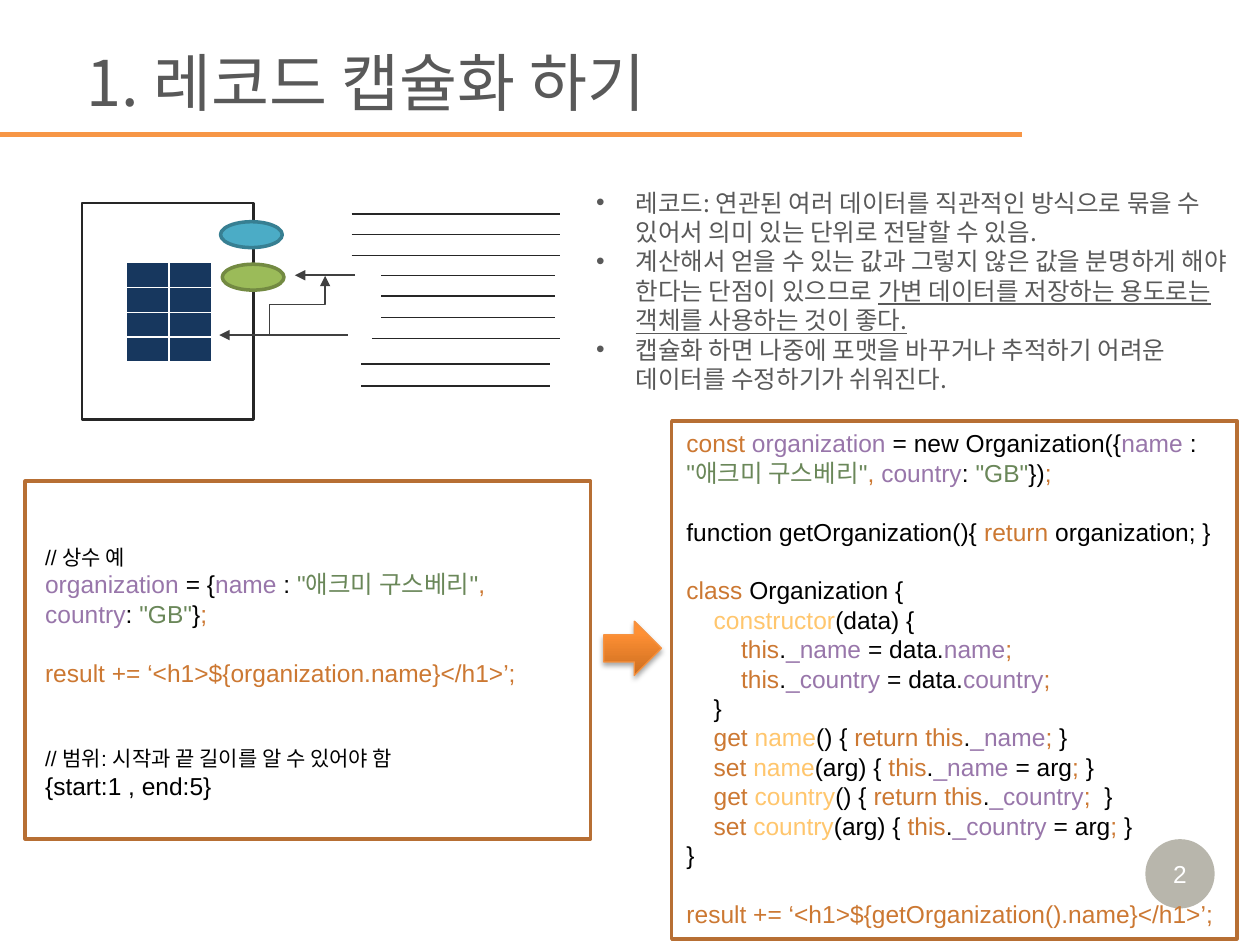
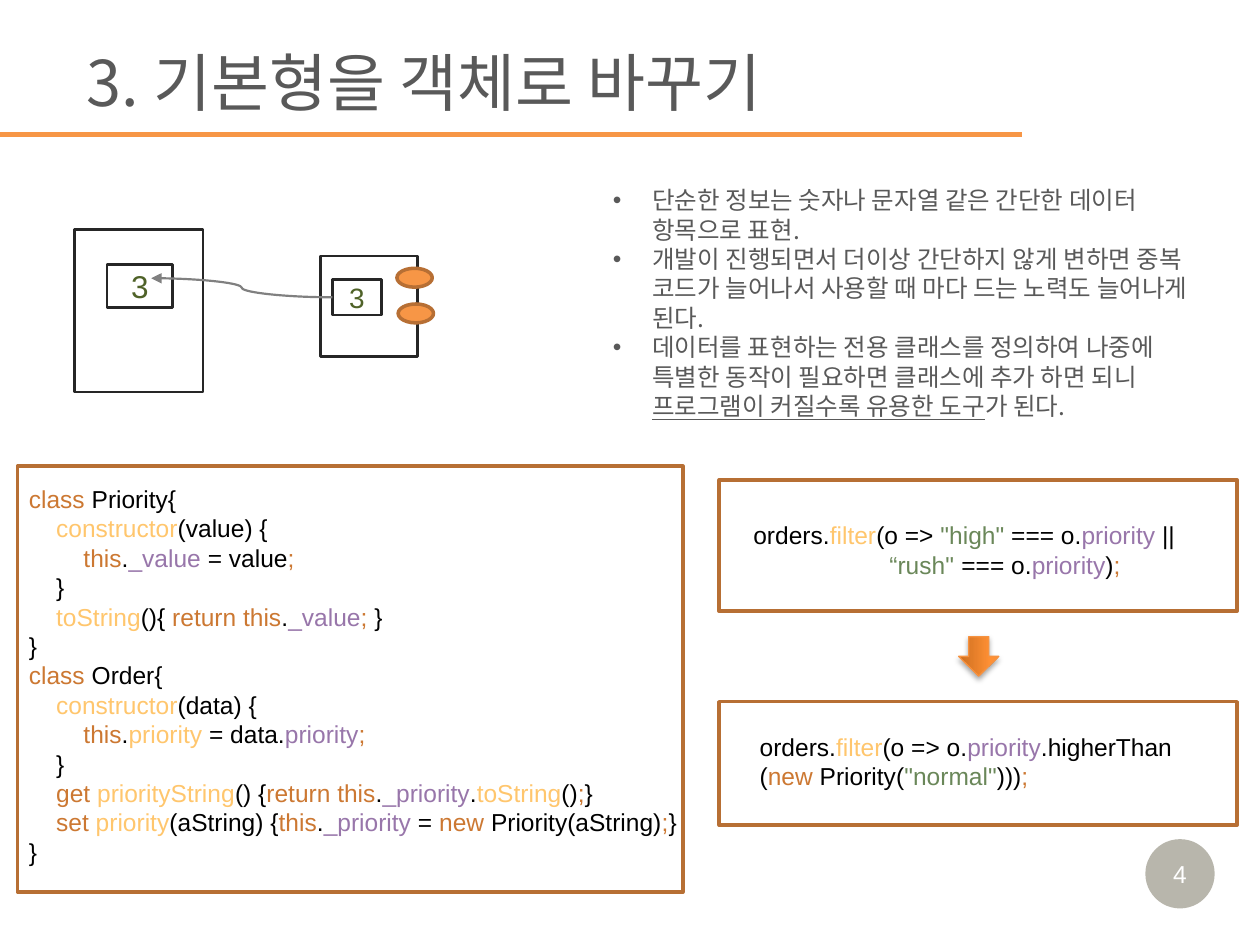
from lxml import etree
from pptx import Presentation
from pptx.dml.color import RGBColor
from pptx.enum.shapes import MSO_CONNECTOR, MSO_SHAPE
from pptx.enum.text import MSO_ANCHOR, MSO_AUTO_SIZE, PP_ALIGN
from pptx.oxml.ns import qn
from pptx.util import Pt

RECT, OVAL, ARROW = MSO_SHAPE.RECTANGLE, MSO_SHAPE.OVAL, MSO_SHAPE.RIGHT_ARROW
STRAIGHT, ELBOW, CURVE = MSO_CONNECTOR.STRAIGHT, MSO_CONNECTOR.ELBOW, MSO_CONNECTOR.CURVE
LEFT, CENTER = PP_ALIGN.LEFT, PP_ALIGN.CENTER
TOP, MIDDLE = MSO_ANCHOR.TOP, MSO_ANCHOR.MIDDLE
LATIN, KOREAN = "Arial", "Noto Sans CJK KR"
LEADING = 1.2
CODE_SIZE = 14

COLORS = {
    "text": "595959", "white": "FFFFFF", "ink": "262626", "arrow": "404040",
    "gray": "808080", "orange": "F79646", "frame": "B76F34", "badge": "4A452A",
    "navy": "17375E", "teal": "4BACC6", "teal line": "377F92", "green": "9BBB59",
    "green line": "738A42", "digit": "4F6228", "grad dark": "CC6E20",
    "grad light": "FF9034", "grad line": "F69240",
    "x": "000000", "k": "CC7832", "p": "9876AA", "s": "6A8759", "f": "FFC66D",
}

RECORD_BEFORE = [
    "‹x›// 상수 예",
    '‹p›organization ‹x›= {‹p›name ‹x›: ‹s›"애크미 구스베리"‹k›, ‹p›country‹x›: ‹s›"GB"‹x›}‹k›;',
    "",
    "‹k›result += ‘<h1>${organization.name}</h1>’;",
    "",
    "",
    "‹x›// 범위: 시작과 끝 길이를 알 수 있어야 함",
    "‹x›{start:1 , end:5}",
]
RECORD_AFTER = [
    '‹k›const‹p› organization ‹x›= new Organization({‹p›name ‹x›: ‹s›"애크미 구스베리"‹k›, '
    '‹p›country‹x›: ‹s›"GB"‹x›})‹k›;',
    "",
    "‹x›function getOrganization(){ ‹k›return‹x› organization; }",
    "",
    "‹k›class ‹x›Organization {",
    "‹x›    ‹f›constructor‹x›(data) {",
    "‹x›        ‹k›this‹x›.‹p›_name ‹x›= data.‹p›name‹k›;",
    "‹x›        ‹k›this‹x›.‹p›_country ‹x›= data.‹p›country‹k›;",
    "‹x›    }",
    "‹x›    ‹k›get ‹f›name‹x›() { ‹k›return this‹x›.‹p›_name‹k›; ‹x›}",
    "‹x›    ‹k›set ‹f›name‹x›(arg) { ‹k›this‹x›.‹p›_name ‹x›= arg‹k›; ‹x›}",
    "‹x›    ‹k›get ‹f›country‹x›() { ‹k›return this‹x›.‹p›_country‹k›;  ‹x›}",
    "‹x›    ‹k›set ‹f›country‹x›(arg) { ‹k›this‹x›.‹p›_country ‹x›= arg‹k›; ‹x›}",
    "‹x›}",
    "",
    "‹k›result += ‘<h1>${getOrganization().name}</h1>’;",
]
PRIORITY_CLASS = [
    "‹k›class ‹x›Priority{",
    "‹x›    ‹f›constructor‹x›(value) {",
    "‹x›        ‹k›this‹x›.‹p›_value ‹x›= value‹k›;",
    "‹x›    }",
    "‹x›    ‹f›toString‹x›(){ ‹k›return this‹x›.‹p›_value‹k›; ‹x›}",
    "‹x›}",
    "‹k›class ‹x›Order{",
    "‹x›    ‹f›constructor‹x›(data) {",
    "‹x›        ‹k›this‹x›.‹f›priority ‹x›= data.‹p›priority‹k›;",
    "‹x›    }",
    "‹x›    ‹k›get ‹f›priorityString‹x›() {‹k›return this‹x›.‹p›_priority‹x›.‹f›toString‹x›()‹k›;‹x›}",
    "‹x›    ‹k›set ‹f›priority‹x›(aString) {‹k›this‹x›.‹p›_priority ‹x›= ‹k›new ‹x›Priority(aString)‹k›;‹x›}",
    "‹x›}",
]
FILTER_BEFORE = [
    '‹x›orders.‹f›filter‹x›(o => ‹s›"high" ‹x›=== o.‹p›priority ‹x›||',
    '‹s›                    “rush" ‹x›=== o.‹p›priority‹x›)‹k›;',
]
FILTER_AFTER = [
    "‹x›orders.‹f›filter‹x›(o => o.‹p›priority‹x›.higherThan",
    '‹x›(‹k›new ‹x›Priority(‹s›"normal"‹x›)))‹k›;',
]


def rgb(name):
    return RGBColor.from_string(COLORS[name])


def add_run(p, text, size=CODE_SIZE, color="x", font=LATIN, underline=None):
    r = p.add_run()
    r.text = text
    r.font.size = Pt(size)
    r.font.name = font
    r.font.color.rgb = rgb(color)
    r.font.underline = underline
    etree.SubElement(r.font._element, qn("a:ea"), typeface=KOREAN)
    p.line_spacing = Pt(round(size * LEADING, 1))
    return r


class Deck:
    def __init__(self):
        self.prs = Presentation()
        self.prs.slide_width, self.prs.slide_height = Pt(720), Pt(540)
        self.s = None

    def slide(self, number, title, items, list_box):
        self.s = self.prs.slides.add_slide(self.prs.slide_layouts[0])
        heading, body = self.s.placeholders
        tf = self.place(heading, 42.5, 21, 677.5, 51)
        add_run(tf.paragraphs[0], title, 36, "text", KOREAN)
        self.bullets(self.place(body, *list_box), items)
        badge = self.shape(OVAL, 654.5, 479.5, 39.6, 39.6, fill="badge")
        color = badge.fill._xPr.find(qn("a:solidFill"))[0]
        etree.SubElement(color, qn("a:alpha"), val="39000")
        self.label(badge, number, CODE_SIZE, "white")
        self.line(0, 77, 584, 77, "orange", 3)

    def place(self, sp, x, y, w, h):
        sp.left, sp.top, sp.width, sp.height = Pt(x), Pt(y), Pt(w), Pt(h)
        tf = sp.text_frame
        tf.word_wrap = True
        tf.auto_size = MSO_AUTO_SIZE.NONE
        tf.vertical_anchor = MIDDLE
        tf.paragraphs[0].alignment = LEFT
        return tf

    def bullets(self, tf, items):
        for i, item in enumerate(items):
            p = tf.add_paragraph() if i else tf.paragraphs[0]
            pPr = p._p.get_or_add_pPr()
            pPr.set("marL", str(Pt(22.5)))
            pPr.set("indent", str(-Pt(22.5)))
            etree.SubElement(pPr, qn("a:buFont"), typeface=LATIN)
            etree.SubElement(pPr, qn("a:buChar"), char="•")
            p.alignment = LEFT
            p.space_before = Pt(0)
            for j, text in enumerate(item.split("_")):
                if text:
                    add_run(p, text, 14, "text", KOREAN, underline=j % 2 == 1)

    def shape(self, kind, x, y, w, h, fill=None, line=None, width=1.5):
        sp = self.s.shapes.add_shape(kind, Pt(x), Pt(y), Pt(w), Pt(h))
        sp.shadow.inherit = False
        if fill:
            sp.fill.solid()
            sp.fill.fore_color.rgb = rgb(fill)
        else:
            sp.fill.background()
        if line:
            sp.line.color.rgb = rgb(line)
            sp.line.width = Pt(width)
        else:
            sp.line.fill.background()
        return sp

    def label(self, sp, text, size, color):
        tf = sp.text_frame
        tf.margin_left = tf.margin_right = tf.margin_top = tf.margin_bottom = 0
        tf.vertical_anchor = MIDDLE
        tf.paragraphs[0].alignment = CENTER
        add_run(tf.paragraphs[0], text, size, color)

    def frame(self, x, y, w, h):
        self.shape(RECT, x, y, w, h, line="frame", width=2)

    def block_arrow(self, x, y, w, h, rotation=0):
        sp = self.shape(ARROW, x, y, w, h, line="grad line", width=0.75)
        sp.rotation = rotation
        sp.fill.gradient()
        sp.fill.gradient_angle = 90
        for stop, (name, position) in zip(sp.fill.gradient_stops,
                                          (("grad dark", 0), ("grad light", 0.8))):
            stop.color.rgb = rgb(name)
            stop.position = position
        effects = sp._element.spPr.find(qn("a:effectLst"))
        shadow = etree.SubElement(effects, qn("a:outerShdw"), blurRad=str(Pt(3.1)),
                                  dist=str(Pt(1.8)), dir="5400000", rotWithShape="0")
        color = etree.SubElement(shadow, qn("a:srgbClr"), val="000000")
        etree.SubElement(color, qn("a:alpha"), val="35000")

    def line(self, x1, y1, x2, y2, color="ink", width=1, kind=STRAIGHT, head=False, turn=0):
        c = self.s.shapes.add_connector(kind, Pt(x1), Pt(y1), Pt(x2), Pt(y2))
        c.line.color.rgb = rgb(color)
        c.line.width = Pt(width)
        spPr = c._element.spPr
        if head:
            etree.SubElement(spPr.find(qn("a:ln")), qn("a:tailEnd"), type="triangle")
        if turn:
            spPr.find(qn("a:xfrm")).set("rot", str(turn * 60000))
        etree.SubElement(spPr, qn("a:effectLst"))
        return c

    def table(self, x, y, w, h, rows, cols, fill):
        tbl = self.s.shapes.add_table(rows, cols, Pt(x), Pt(y), Pt(w), Pt(h)).table
        for cell in tbl.iter_cells():
            cell.margin_top = cell.margin_bottom = 0
            cell.fill.solid()
            cell.fill.fore_color.rgb = rgb(fill)
            etree.SubElement(cell.text_frame.paragraphs[0]._p, qn("a:endParaRPr"), sz="800")

    def code(self, lines, x, y, w, h):
        tf = self.s.shapes.add_textbox(Pt(x), Pt(y), Pt(w), Pt(h)).text_frame
        tf.word_wrap = True
        tf.vertical_anchor = TOP
        p, gap = None, 0
        for text in lines:
            if not text:
                gap += CODE_SIZE * LEADING
                continue
            p = tf.add_paragraph() if p else tf.paragraphs[0]
            p.space_before = Pt(round(gap, 1))
            gap = 0
            size = 12 if text.startswith("‹x›//") else CODE_SIZE
            for piece in text.split("‹")[1:]:
                color, words = piece.split("›")
                add_run(p, words, size, color)


def record_slide(d):
    d.slide("2", "1. 레코드 캡슐화 하기", [
        "레코드: 연관된 여러 데이터를 직관적인 방식으로 묶을 수 있어서 의미 있는 단위로 전달할 수 있음.",
        "계산해서 얻을 수 있는 값과 그렇지 않은 값을 분명하게 해야 한다는 단점이 있으므로 "
        "_가변 데이터를 저장하는 용도로는 객체를 사용하는 것이 좋다._",
        "캡슐화 하면 나중에 포맷을 바꾸거나 추적하기 어려운 데이터를 수정하기가 쉬워진다.",
    ], (333.5, 90, 378.5, 152))
    d.frame(14.4, 275, 323, 204.5)
    d.frame(383.8, 240.5, 323, 296)
    d.block_arrow(345, 355, 33, 31)
    for x1, x2, ys in ((201, 320, (122.5, 134, 146)), (218, 317, (157.5, 169, 181.5)),
                       (212.5, 320, (193.5,)), (206.5, 314.5, (208, 220.5))):
        for y in ys:
            d.line(x1, y, x2, y)
    d.shape(RECT, 46.8, 116, 98, 123.8, line="ink")
    d.table(72, 150, 49, 57, 4, 2, "navy")
    d.shape(OVAL, 126, 126.7, 35.3, 14.8, "teal", "teal line", 2)
    d.shape(OVAL, 127, 151, 35.3, 14.8, "green", "green line", 2)
    d.line(203, 157.3, 168.5, 157.3, "arrow", head=True)
    d.line(198.7, 191.5, 125.3, 191.5, "arrow", head=True)
    d.line(186.5, 190, 153.4, 158.4, "arrow", 0.75, ELBOW, head=True, turn=90)
    d.code(RECORD_BEFORE, 18.7, 307.5, 308, 155)
    d.code(RECORD_AFTER, 385.2, 241.2, 318, 296)


def priority_slide(d):
    d.slide("4", "3. 기본형을 객체로 바꾸기", [
        "단순한 정보는 숫자나 문자열 같은 간단한 데이터 항목으로 표현.",
        "개발이 진행되면서 더이상 간단하지 않게 변하면 중복 코드가 늘어나서 사용할 때 마다 드는 노력도 늘어나게 된다.",
        "데이터를 표현하는 전용 클래스를 정의하여 나중에 특별한 동작이 필요하면 클래스에 추가 하면 되니 "
        "_프로그램이 커질수록 유용한 도구_가 된다.",
    ], (343, 104.5, 364, 137))
    d.frame(411, 274.3, 296, 75)
    d.block_arrow(548, 363.6, 22.5, 23, rotation=90)
    d.frame(411, 401, 296, 70.5)
    d.code(FILTER_BEFORE, 423.4, 293.8, 287, 41)
    d.code(FILTER_AFTER, 427, 414.7, 265, 41)
    d.shape(RECT, 42.5, 131, 73.5, 93, line="ink")
    d.shape(RECT, 183, 146.2, 55.5, 57.6, line="ink")
    value = d.shape(RECT, 61.2, 151.2, 37.5, 24.5, line="ink")
    d.label(value, "3", 18, "digit")
    wrapped = d.shape(RECT, 190, 159.8, 28, 20.2, line="ink")
    d.label(wrapped, "3", 16, "digit")
    for x, y in ((226.8, 153.3), (227.5, 173.7)):
        d.shape(OVAL, x, y, 20.2, 10.8, "orange", "frame", 2)
    link = d.line(190, 169.9, 86.4, 159, "gray", 1.25, CURVE, head=True)
    link.begin_connect(wrapped, 1)
    d.frame(10, 266.4, 380.2, 243.4)
    d.code(PRIORITY_CLASS, 9.4, 273, 387, 227.5)


def main():
    d = Deck()
    record_slide(d)
    priority_slide(d)
    d.prs.save("out.pptx")


if __name__ == "__main__":
    main()
